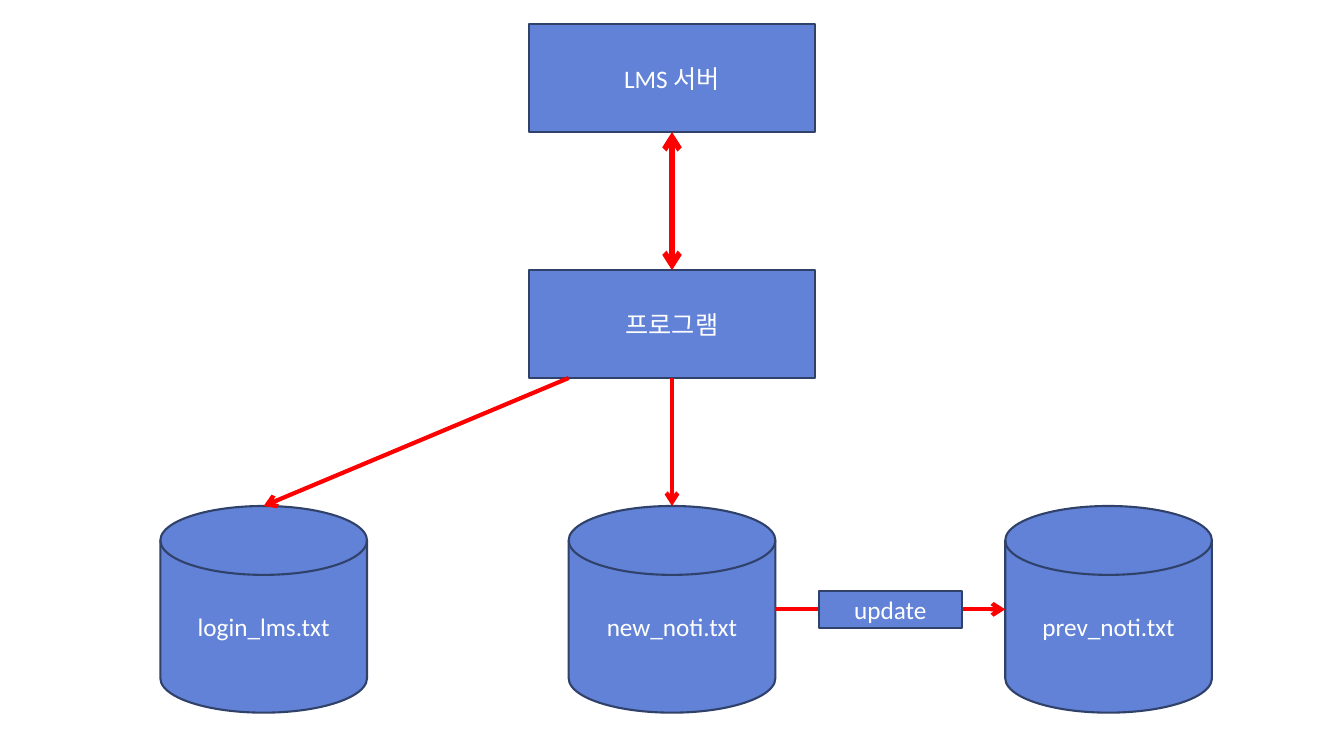
from lxml import etree
from pptx import Presentation
from pptx.dml.color import RGBColor
from pptx.enum.shapes import MSO_CONNECTOR, MSO_SHAPE
from pptx.enum.text import MSO_ANCHOR, PP_ALIGN
from pptx.oxml.ns import qn
from pptx.util import Inches, Pt

BOX = MSO_SHAPE.RECTANGLE
DISK = MSO_SHAPE.FLOWCHART_MAGNETIC_DISK
STRAIGHT = MSO_CONNECTOR.STRAIGHT
MIDDLE = MSO_ANCHOR.MIDDLE
CENTER = PP_ALIGN.CENTER

FILL, OUTLINE, ARROW, WHITE = "6182D6", "30416A", "FF0000", "FFFFFF"
TEXT_FORMAT = {"name": "Calibri", "size": Pt(18)}


def add_node(kind, label, left, top, width, height):
    """Add a filled shape with a centred label."""
    node = slide.shapes.add_shape(
        kind, Inches(left), Inches(top), Inches(width), Inches(height))
    node.shadow.inherit = False
    node.fill.solid()
    node.fill.fore_color.rgb = RGBColor.from_string(FILL)
    node.line.color.rgb = RGBColor.from_string(OUTLINE)
    node.line.width = Pt(1.5)
    frame = node.text_frame
    frame.vertical_anchor = MIDDLE
    paragraph = frame.paragraphs[0]
    paragraph.alignment = CENTER
    run = paragraph.add_run()
    run.text = label
    for attribute, value in TEXT_FORMAT.items():
        setattr(run.font, attribute, value)
    run.font.color.rgb = RGBColor.from_string(WHITE)
    return node


def add_arrow(source, source_site, target, target_site, width, ends, start_x=None):
    """Join two nodes at connection sites, or start at start_x below the source."""
    arrow = slide.shapes.add_connector(STRAIGHT, 0, 0, 0, 0)
    if start_x is None:
        arrow.begin_connect(source, source_site)
    else:
        arrow.begin_x, arrow.begin_y = Inches(start_x), source.top + source.height
    # The disk's sites 0 and 1 both sit on its top ellipse, so ends are set by position.
    on_left = target_site == "left"
    arrow.end_x = target.left if on_left else target.left + target.width // 2
    arrow.end_y = target.top + target.height // 2 if on_left else target.top
    arrow.line.color.rgb = RGBColor.from_string(ARROW)
    arrow.line.width = Pt(width)
    for end in ends:
        etree.SubElement(arrow.line._get_or_add_ln(), qn(f"a:{end}"), type="arrow")
    etree.SubElement(arrow._element.spPr, qn("a:effectLst"))
    return arrow


presentation = Presentation()
presentation.slide_width, presentation.slide_height = Inches(13.33), Inches(7.5)
slide = presentation.slides.add_slide(presentation.slide_layouts[6])

# Text files along the bottom
DISK_TOP, DISK_SIZE = 5.02, 2.05
login_file, new_file, previous_file = [
    add_node(DISK, label, left, DISK_TOP, DISK_SIZE, DISK_SIZE)
    for label, left in [("login_lms.txt", 1.59), ("new_noti.txt", 5.64),
                        ("prev_noti.txt", 9.97)]]

# Update step, its label box lying over the arrow
update_arrow = add_arrow(new_file, 0, previous_file, "left", 3, ["tailEnd"])
update_arrow.begin_x = new_file.left + new_file.width
update_arrow.begin_y = new_file.top + new_file.height // 2
add_node(BOX, "update", 8.12, 5.86, 1.42, 0.37)

# Program and server above the files
program, server = [add_node(BOX, label, 5.25, top, 2.83, 1.07)
                   for label, top in [("프로그램", 2.68), ("LMS 서버", 0.24)]]

BOTTOM_SITE = 2
add_arrow(server, BOTTOM_SITE, program, "top", 4, ["headEnd", "tailEnd"])
add_arrow(program, BOTTOM_SITE, new_file, "top", 3, ["tailEnd"])
add_arrow(program, BOTTOM_SITE, login_file, "top", 3, ["tailEnd"], start_x=5.64)

presentation.save("out.pptx")
